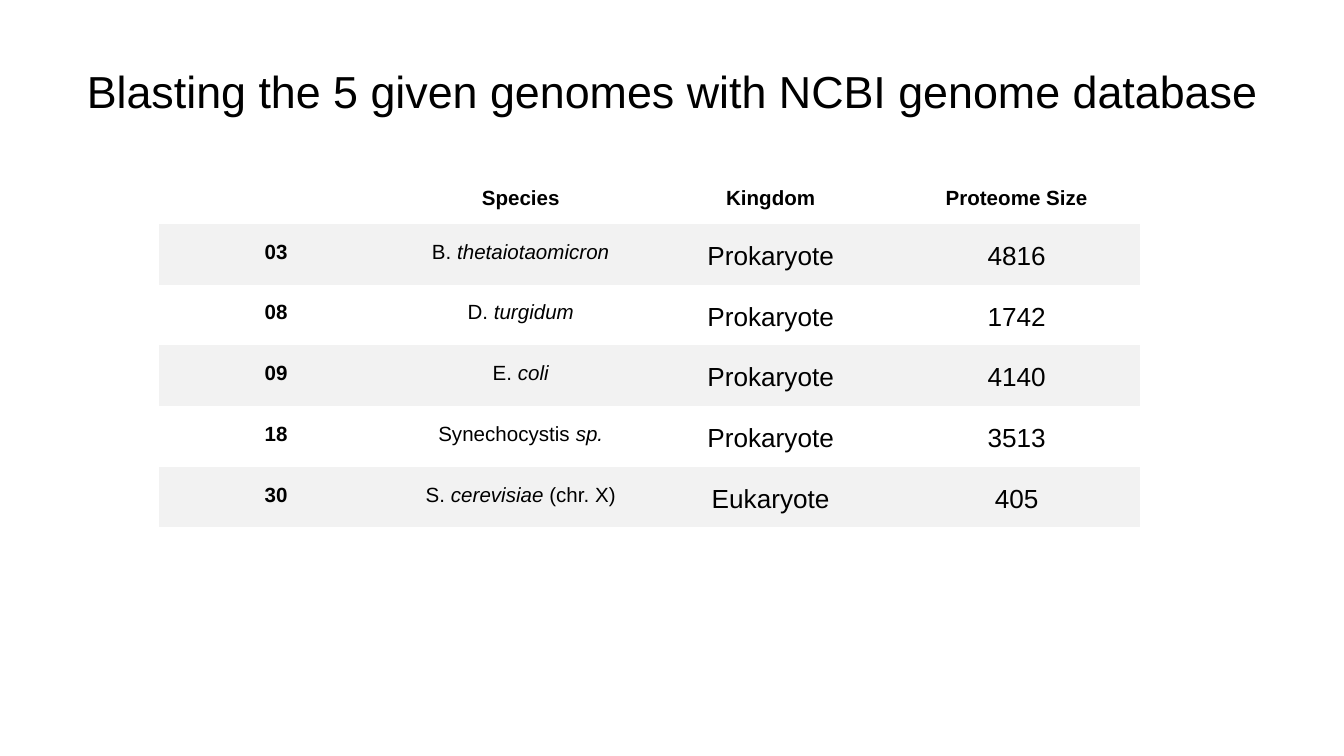
import pptx
import pptx.util
import pptx.dml.color
import pptx.enum.text
from dataclasses import dataclass

Inches = pptx.util.Inches
Pt = pptx.util.Pt
Align = pptx.enum.text.PP_ALIGN
Anchor = pptx.enum.text.MSO_ANCHOR
WIDE = Inches(10)
HIGH = WIDE * 9 // 16
PLAIN = "{2D5ABB26-0587-4C30-8999-92F81FD0307C}"


@dataclass(frozen=True)
class Theme:
    face: str = "Arial"
    ink: str = "000000"
    band: str = "F2F2F2"
    title: int = 24
    label: int = 11
    value: int = 14
    lead: float = 1.15


LOOK = Theme()
HEADS = ["", "Species", "Kingdom", "Proteome Size"]
ROWS = [
    ("03", [("B.", False), (" thetaiotaomicron", True)], "Prokaryote", "4816"),
    ("08", [("D. ", False), ("turgidum", True)], "Prokaryote", "1742"),
    ("09", [("E. ", False), ("coli", True)], "Prokaryote", "4140"),
    ("18", [("Synechocystis ", False), ("sp.", True)], "Prokaryote", "3513"),
    ("30", [("S. ", False), ("cerevisiae", True), (" (chr. X)", False)],
     "Eukaryote", "405"),
]


def apply(item, **form):
    for name, val in form.items():
        setattr(item, name, val)


def place(shape, left, top, wide, high):
    apply(shape, left=int(WIDE * left), top=int(HIGH * top),
          width=int(WIDE * wide), height=int(HIGH * high))


def write(para, text, size, bold=False, italic=False):
    run = para.add_run()
    run.text = text
    apply(run.font, name=LOOK.face, size=Pt(size), bold=bold, italic=italic)
    run.font.color.rgb = pptx.dml.color.RGBColor.from_string(LOOK.ink)


def add_title(slide, text):
    shape = slide.shapes.title
    place(shape, 0.034, 0.088, 0.932, 0.085)
    frame = shape.text_frame
    apply(frame, word_wrap=True, vertical_anchor=Anchor.BOTTOM,
          auto_size=pptx.enum.text.MSO_AUTO_SIZE.NONE,
          **{f"margin_{side}": Inches(0.1)
             for side in ("left", "right", "top", "bottom")})
    para = frame.paragraphs[0]
    para.alignment = Align.CENTER
    write(para, text, LOOK.title)


def fill_cell(cell, parts, size, bold, band):
    apply(cell, vertical_anchor=Anchor.TOP,
          margin_left=Inches(0.07), margin_right=Inches(0.07),
          margin_top=Inches(0.1), margin_bottom=Inches(0.1))
    if band:
        cell.fill.solid()
        cell.fill.fore_color.rgb = pptx.dml.color.RGBColor.from_string(LOOK.band)
    else:
        cell.fill.background()
    para = cell.text_frame.paragraphs[0]
    apply(para, alignment=Align.CENTER, line_spacing=LOOK.lead)
    for text, italic in parts:
        if text:
            write(para, text, size, bold, italic)
        else:
            end = pptx.oxml.xmlchemy.OxmlElement("a:endParaRPr")
            end.set("sz", str(size * 100))
            para._p.append(end)


def add_grid(slide):
    rows = [HEADS, *ROWS]
    shape = slide.shapes.add_table(len(rows), len(HEADS), 0, 0, WIDE, HIGH)
    place(shape, 0.118, 0.225, 0.73, 0.47)
    table = shape.table
    apply(table, first_row=False, horz_banding=False)
    table._tbl.tblPr.find(pptx.oxml.ns.qn("a:tableStyleId")).text = PLAIN
    for col, wide in zip(table.columns, (0.175, 0.189, 0.183, 0.183)):
        col.width = int(WIDE * wide)
    for r, row in enumerate(rows):
        table.rows[r].height = Inches(0.45 if r else 0.4)
        for c, item in enumerate(row):
            parts = [(item, False)] if isinstance(item, str) else item
            size = LOOK.value if r and c > 1 else LOOK.label
            fill_cell(table.cell(r, c), parts, size, r == 0 or c == 0, r % 2)


def main():
    deck = pptx.Presentation()
    apply(deck, slide_width=WIDE, slide_height=HIGH)
    slide = deck.slides.add_slide(deck.slide_layouts.get_by_name("Title Only"))
    add_title(slide, "Blasting the 5 given genomes with NCBI genome database")
    add_grid(slide)
    deck.save("out.pptx")


if __name__ == "__main__":
    main()
